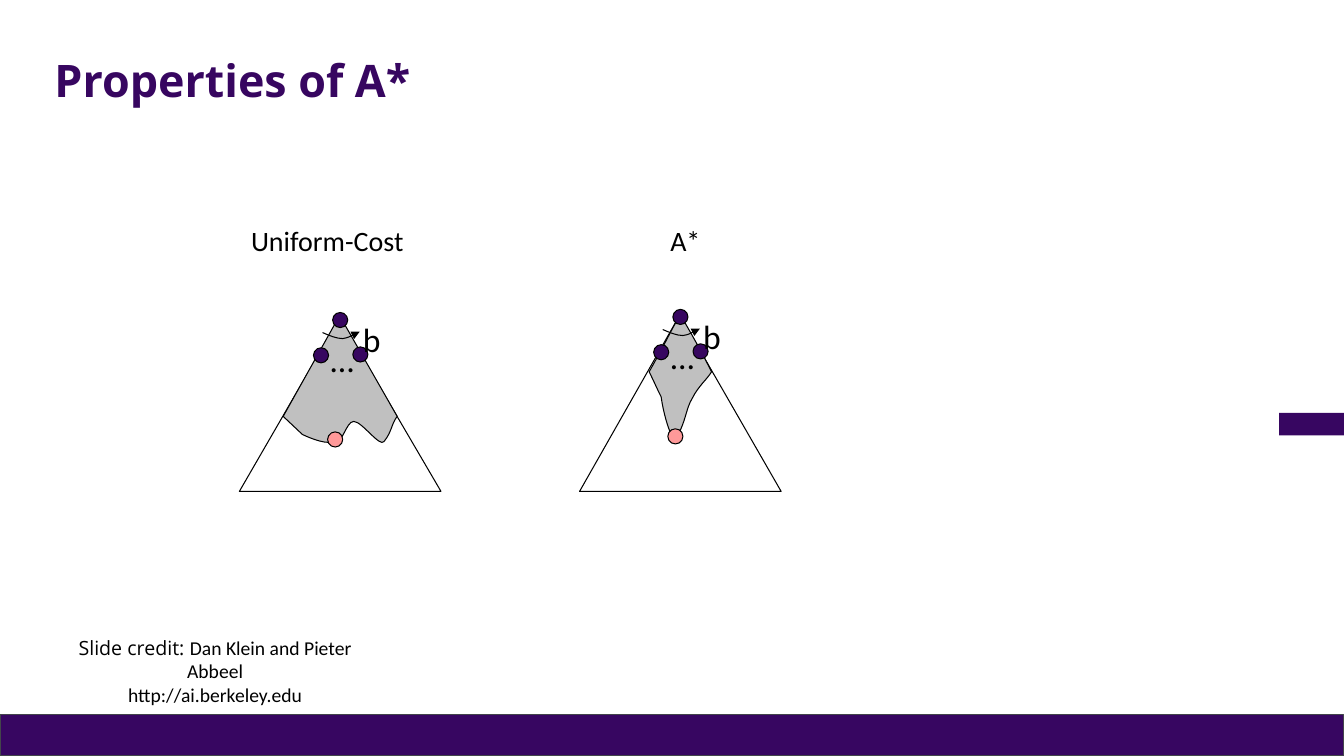
from lxml.etree import SubElement
from pptx import Presentation
from pptx.dml.color import RGBColor
from pptx.enum.shapes import MSO_SHAPE as Preset
from pptx.enum.text import MSO_ANCHOR as Anchor, PP_ALIGN as Align
from pptx.oxml.ns import qn
from pptx.util import Pt

PURPLE, TITLE_PURPLE = "370661", "370660"
BLACK, GREY, PINK, WHITE = "000000", "C0C0C0", "FF9999", "FFFFFF"
SLIDE_W, SLIDE_H = 960, 540
NODE = 10.8  # node diameter

# Paths relative to a tree's top left: pairs are line ends, sextuples are curves
BRANCH_ARC = [(59.4, 14.4),
              (64.4, 16.6, 69.5, 18.7, 73.8, 18.7),
              (78.1, 18, 81.7, 15.8, 86, 13.7)]
UNIFORM_EXPLORED = [(71.6, 2.2), (31.3, 74.2), (45, 87.1),
                    (45, 87.1, 60.8, 95, 67.3, 92.2),
                    (73.8, 95, 76, 77.8, 81.7, 77.8),
                    (87.5, 77.8, 100.4, 96.5, 103.3, 92.2),
                    (109.1, 85, 108.4, 79.9, 112.7, 74.2)]
ASTAR_EXPLORED = [(72, 3.6),
                  (64.1, 17.3, 63.4, 20.2, 49.7, 44.6),
                  (54, 53.3, 54.7, 55.4, 58.3, 62.6),
                  (58.3, 62.6, 60.5, 80.6, 67.7, 94.3),
                  (76.3, 80.6, 75.6, 71.3, 80.6, 63.4),
                  (85, 54.7, 90.7, 50.4, 94.3, 44.6),
                  (81.4, 19.4, 77.8, 14.4, 72, 3.6)]


def color(hex_code):
    return RGBColor.from_string(hex_code)


def paint(shape, fill=None, line=BLACK):
    shape.shadow.inherit = False
    if fill:
        shape.fill.solid()
        shape.fill.fore_color.rgb = color(fill)
    else:
        shape.fill.background()
    if line:
        shape.line.color.rgb = color(line)
        shape.line.width = Pt(0.75)
    else:
        shape.line.fill.background()
    return shape


def add_preset(slide, preset, box, fill, line=BLACK):
    return paint(slide.shapes.add_shape(preset, *map(Pt, box)), fill, line)


def add_outline(slide, left, top, steps, fill=None, closed=True):
    points = [(Pt(left + step[i]), Pt(top + step[i + 1]))
              for step in steps for i in range(0, len(step), 2)]
    builder = slide.shapes.build_freeform(*points[0])
    builder.add_line_segments(points[1:], close=closed)
    outline = builder.convert_to_shape()

    # Merge each curve's three line ends into one Bezier segment
    line_ends = iter(list(outline._element.iter(qn("a:lnTo"))))
    for step in steps[1:]:
        ends = [next(line_ends) for _ in range(len(step) // 2)]
        if len(ends) == 3:
            curve = ends[0].makeelement(qn("a:cubicBezTo"))
            ends[0].addprevious(curve)
            for end in ends:
                curve.append(end[0])
                end.getparent().remove(end)
    return paint(outline, fill)


def style_runs(paragraph, size, font="Calibri", hex_code=BLACK, bold=False):
    for run in paragraph.runs:
        run.font.size = Pt(size)
        run.font.name = font
        run.font.bold = bold
        run.font.color.rgb = color(hex_code)


def add_text(slide, box, text, size, insets):
    caption = slide.shapes.add_textbox(*map(Pt, box))
    frame = caption.text_frame
    frame.word_wrap = True
    frame.margin_left, frame.margin_top, frame.margin_right, frame.margin_bottom = map(Pt, insets)
    frame.text = text
    for paragraph in frame.paragraphs:
        style_runs(paragraph, size)
    return caption


def add_frame(slide):
    # Footer band and side tab
    add_preset(slide, Preset.RECTANGLE, (0, 510.5, SLIDE_W, 29.5), PURPLE, "43454B")
    add_preset(slide, Preset.RECTANGLE, (913.7, 295, 46.3, 16), PURPLE, None)


def add_title(slide, box):
    title = slide.shapes.title
    title.left, title.top, title.width, title.height = map(Pt, box)
    frame = title.text_frame
    frame.text = "Properties of A*"
    frame.vertical_anchor = Anchor.MIDDLE
    heading = frame.paragraphs[0]
    heading.alignment = Align.LEFT
    heading.line_spacing = 0.9
    style_runs(heading, 32, "Open Sans", TITLE_PURPLE, True)


def add_search_tree(slide, box, explored):
    left, top, width, height = box

    # Whole tree and its explored part
    add_outline(slide, left, top, [(0, height), (width, height), (71.6, 4), (0, height)])
    add_outline(slide, left, top, explored, GREY)

    # Nodes: left child, right child, goal, root
    for x, y, fill in ((52.9, 25.2, TITLE_PURPLE), (81, 24.6, TITLE_PURPLE),
                       (63, 85.3, PINK), (66.6, 0, TITLE_PURPLE)):
        add_preset(slide, Preset.OVAL, (left + x, top + y, NODE, NODE), fill)

    # Branching factor
    insets = (5, 3, 5, 3)
    add_text(slide, (left + 60.2, top + 16, 16.6, 34.6), "…", 24, insets)
    arc = add_outline(slide, left, top, BRANCH_ARC, closed=False)
    SubElement(arc.line._get_or_add_ln(), qn("a:tailEnd"), type="triangle")
    add_text(slide, (left + 83.2, top + 1.4, 17.3, 34.6), "b", 24, insets)


def add_tree_label(slide, box, text):
    label = add_text(slide, box, text, 20, (15.1, 3.6, 7.2, 3.6))
    paint(label, line=WHITE)
    label.text_frame.paragraphs[0].line_spacing = 0.9


def add_credit(slide, box):
    credit = add_text(slide, box, "Slide credit: \nhttp://ai.berkeley.edu", 14,
                      (7.2, 3.6, 7.2, 3.6))
    frame = credit.text_frame
    frame.vertical_anchor = Anchor.MIDDLE
    authors = frame.paragraphs[0]
    authors.add_run().text = "Dan Klein and Pieter Abbeel"
    style_runs(authors, 14)
    authors.runs[0].font.name = "Open Sans"
    for paragraph in frame.paragraphs:
        paragraph.alignment = Align.CENTER


def main():
    deck = Presentation()
    deck.slide_width, deck.slide_height = Pt(SLIDE_W), Pt(SLIDE_H)
    slide = deck.slides.add_slide(deck.slide_layouts[5])
    add_frame(slide)
    add_title(slide, (31.7, 28.8, 862.6, 60.5))
    add_search_tree(slide, (171, 223.2, 144, 127.8), UNIFORM_EXPLORED)
    add_search_tree(slide, (414, 221, 144, 130), ASTAR_EXPLORED)
    for left, text in ((164.2, "Uniform-Cost"), (463.7, "A*")):
        add_tree_label(slide, (left, 159.1, 175, 33.1), text)
    add_credit(slide, (30.2, 458.6, 247, 41))
    deck.save("out.pptx")


if __name__ == "__main__":
    main()
